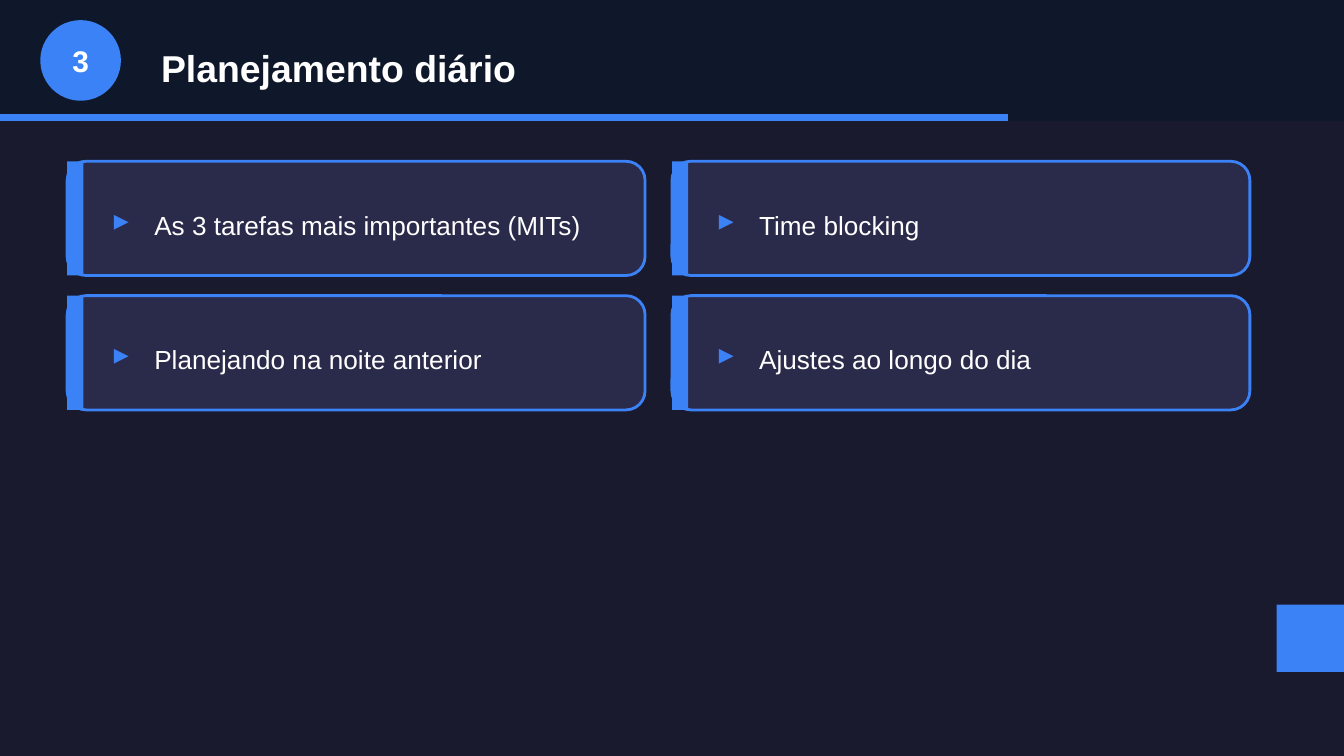
from pptx import Presentation
from pptx.dml.color import RGBColor
from pptx.enum.shapes import MSO_SHAPE
from pptx.enum.text import MSO_ANCHOR, PP_ALIGN
from pptx.util import Inches, Pt

BACKGROUND = "1A1A2E"
HEADER = "0F172A"
CARD = "2A2A4A"
ACCENT = "3B82F6"
WHITE = "FFFFFF"

TOPICS = [
    "As 3 tarefas mais importantes (MITs)",
    "Time blocking",
    "Planejando na noite anterior",
    "Ajustes ao longo do dia",
]


def color(value):
    return RGBColor.from_string(value)


def add_block(page, kind, left, top, width, height, fill, line=None):
    block = page.shapes.add_shape(
        kind, Inches(left), Inches(top), Inches(width), Inches(height))
    block.shadow.inherit = False
    block.fill.solid()
    block.fill.fore_color.rgb = color(fill)
    if line:
        block.line.color.rgb = color(line)
        block.line.width = Pt(1.5)
    else:
        block.line.fill.background()


def add_label(page, text, left, top, width, height, size,
              fill=WHITE, bold=False, align=PP_ALIGN.LEFT):
    box = page.shapes.add_textbox(
        Inches(left), Inches(top), Inches(width), Inches(height))
    frame = box.text_frame
    frame.word_wrap = True
    frame.vertical_anchor = MSO_ANCHOR.MIDDLE
    frame.text = text
    para = frame.paragraphs[0]
    para.alignment = align
    font = para.runs[0].font
    font.name = "Arial"
    font.size = Pt(size)
    font.bold = bold
    font.color.rgb = color(fill)


def add_card(page, text, left, top):
    add_block(page, MSO_SHAPE.ROUNDED_RECTANGLE, left, top, 4.3, 0.85, CARD, ACCENT)
    add_block(page, MSO_SHAPE.RECTANGLE, left, top, 0.12, 0.85, ACCENT)
    add_label(page, "▸", left + 0.25, top + 0.25, 0.3, 0.35, 16, ACCENT, bold=True)
    add_label(page, text, left + 0.55, top + 0.25, 3.5, 0.45, 14)


def add_header(page, number, title):
    add_block(page, MSO_SHAPE.RECTANGLE, 0, 0, 10, 0.9, HEADER)
    add_block(page, MSO_SHAPE.RECTANGLE, 0, 0.85, 7.5, 0.05, ACCENT)
    add_block(page, MSO_SHAPE.OVAL, 0.3, 0.15, 0.6, 0.6, ACCENT)
    add_label(page, number, 0.3, 0.25, 0.6, 0.4, 16, bold=True, align=PP_ALIGN.CENTER)
    add_label(page, title, 1.1, 0.25, 8.5, 0.5, 20, bold=True)


def main():
    deck = Presentation()
    deck.slide_width = Inches(10)
    deck.slide_height = Inches(10 * 9 / 16)
    page = deck.slides.add_slide(deck.slide_layouts[6])
    page.background.fill.solid()
    page.background.fill.fore_color.rgb = color(BACKGROUND)

    add_header(page, "3", "Planejamento diário")

    # Topic cards in two columns
    for index, topic in enumerate(TOPICS):
        row, column = divmod(index, 2)
        add_card(page, topic, 0.5 + 4.5 * column, 1.2 + row)

    # Corner accent
    add_block(page, MSO_SHAPE.RECTANGLE, 9.5, 4.5, 0.5, 0.5, ACCENT)

    deck.save("out.pptx")


if __name__ == "__main__":
    main()
